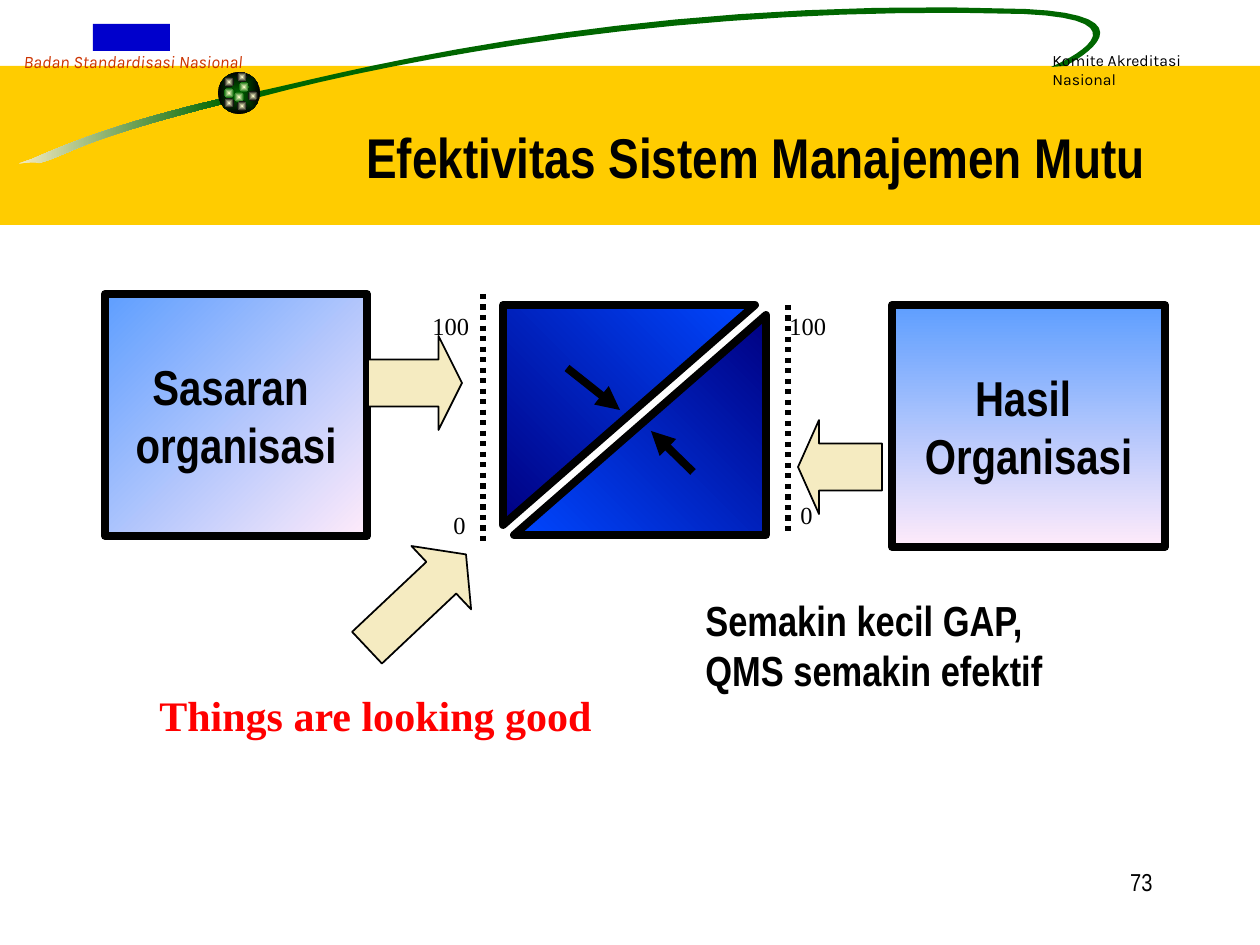
import pptx
import pptx.dml.color
import pptx.enum.dml
import pptx.enum.shapes
import pptx.enum.text
import pptx.oxml
import pptx.oxml.ns
import pptx.util

COLORS = {
    "band": "FFCC00", "green": "006600", "cream": "F5EBC1", "black": "000000",
    "glow": "FFFFCC", "blue": "0000CC", "rust": "CC3300", "red": "FF0000",
    "sky": "5E9EFF", "pink": "FFEBFA", "navy": "000082", "azure": "0047FF",
}
SHAPE = pptx.enum.shapes.MSO_SHAPE
ALIGN = pptx.enum.text.PP_ALIGN
ANCHOR = pptx.enum.text.MSO_ANCHOR
HEADING = {"name": "Arial Narrow", "bold": True}
SCALE_FONT = {"name": "Times New Roman", "size": 14}


def px(length):
    """Turn pixels into EMU."""
    return round(length * 914400 / 126)


def rgb(color):
    """Look up a named colour."""
    return pptx.dml.color.RGBColor.from_string(COLORS[color])


def within(box, left, top, width, height):
    """Offset a rectangle by the corner of the region that holds it."""
    return box[0] + left, box[1] + top, width, height


def paint(shape, fill, line=0):
    """Fill with one colour or a (from, to, angle) gradient, and set the outline."""
    shape.shadow.inherit = False
    if isinstance(fill, str):
        shape.fill.solid()
        shape.fill.fore_color.rgb = rgb(fill)
    else:
        *stops, angle = fill
        shape.fill.gradient()
        for stop, color in zip(shape.fill.gradient_stops, stops):
            stop.color.rgb = rgb(color)
        gradient = shape._element.spPr.find(pptx.oxml.ns.qn("a:gradFill"))
        gradient.set("rotWithShape", "0")
        if angle is None:
            gradient.replace(gradient.find(pptx.oxml.ns.qn("a:lin")), pptx.oxml.parse_xml(
                f'<a:path {pptx.oxml.ns.nsdecls("a")} path="rect">'
                '<a:fillToRect l="50000" t="50000" r="50000" b="50000"/></a:path>'))
        else:
            shape.fill.gradient_angle = -angle % 360
    if line:
        shape.line.color.rgb = rgb("black")
        shape.line.width = pptx.util.Pt(line)
    else:
        shape.line.fill.background()


def add_shape(slide, kind, box, fill, line=0, rotation=0, adjustments=()):
    """Place one painted preset shape."""
    shape = slide.shapes.add_shape(kind, *map(px, box))
    shape.rotation = rotation
    for index, value in enumerate(adjustments):
        shape.adjustments[index] = value
    paint(shape, fill, line)
    return shape


def write(shape, lines, font, color="black", align=ALIGN.LEFT, anchor=ANCHOR.TOP, wrap=True):
    """Write paragraphs in one format into a shape."""
    frame = shape.text_frame
    settings = {"word_wrap": wrap, "vertical_anchor": anchor,
                "auto_size": pptx.enum.text.MSO_AUTO_SIZE.NONE}
    for name, value in settings.items():
        setattr(frame, name, value)
    frame.text = "\n".join(lines)
    for paragraph in frame.paragraphs:
        paragraph.alignment = align
        for name, value in font.items():
            setattr(paragraph.font, name, pptx.util.Pt(value) if name == "size" else value)
        paragraph.font.color.rgb = rgb(color)


def add_text(slide, box, lines, font, **options):
    """Place a text box."""
    write(slide.shapes.add_textbox(*map(px, box)), lines, font, **options)


def add_line(slide, box, start, end, width, dash=None, arrow=False):
    """Draw a black line, dotted or with an arrowhead at its end."""
    points = [px(origin + offset) for point in (start, end) for origin, offset in zip(box, point)]
    line = slide.shapes.add_connector(pptx.enum.shapes.MSO_CONNECTOR.STRAIGHT, *points)
    line.line.color.rgb = rgb("black")
    line.line.width = pptx.util.Pt(width)
    if dash:
        line.line.dash_style = dash
    properties = line._element.spPr
    if arrow:
        properties.find(pptx.oxml.ns.qn("a:ln")).append(pptx.oxml.parse_xml(
            f'<a:tailEnd {pptx.oxml.ns.nsdecls("a")} type="triangle"/>'))
    properties.append(pptx.oxml.parse_xml(f'<a:effectLst {pptx.oxml.ns.nsdecls("a")}/>'))


def add_swoosh(slide, box, start, segments, fill):
    """Draw a closed outline of straight and cubic segments."""
    steps = 16
    points = [start]
    for segment in segments:
        if len(segment) == 1:
            points += segment
            continue
        controls = (points[-1], *segment)
        for step in range(1, steps + 1):
            t = step / steps
            weights = ((1 - t) ** 3, 3 * t * (1 - t) ** 2, 3 * t * t * (1 - t), t ** 3)
            points.append(tuple(sum(w * c[axis] for w, c in zip(weights, controls))
                                for axis in (0, 1)))
    scaled = [(px(box[0] + x), px(box[1] + y)) for x, y in points]
    builder = slide.shapes.build_freeform(*scaled[0])
    builder.add_line_segments(scaled[1:], close=True)
    paint(builder.convert_to_shape(), fill)


def globe(slide, box):
    """Place the dark ball with its glowing dots."""
    add_shape(slide, SHAPE.OVAL, box, ("green", "black", None))
    dots = {"green": [(21, 10), (6, 16), (16, 20)],
            "black": [(6, 5), (30, 19), (19, 29), (6, 26), (19, 0)]}
    for edge, corners in dots.items():
        for corner in corners:
            add_shape(slide, SHAPE.OVAL, within(box, *corner, 10, 10), ("glow", edge, None))


def header(slide, box):
    """Place the band, swoosh, institution names and title."""
    add_shape(slide, SHAPE.RECTANGLE, within(box, 0, 66, box[2], 159), "band")
    add_swoosh(slide, box, (224, 98), [
        [(115, 123), (62, 146), (32, 159)], [(1, 169), (33, 159), (39, 163)],
        [(72, 154), (72, 142), (226, 103)]], ("cream", "green", 0))
    add_swoosh(slide, box, (255, 92), [
        [(310, 82), (612, -6), (1026, 9)], [(1155, 15), (1080, 59), (1065, 66)], [(1051, 67)],
        [(1063, 62), (1154, 20), (1024, 14)], [(690, 4), (403, 59), (260, 97)]], "green")
    globe(slide, within(box, 218, 72, 42, 42))
    add_shape(slide, SHAPE.RECTANGLE, within(box, 93, 24, 77, 27), "blue")
    add_text(slide, within(box, 3, 45, 260, 34), ["Badan Standardisasi Nasional"],
             {"name": "Karla", "size": 10, "italic": True},
             color="rust", align=ALIGN.CENTER, wrap=False)
    add_text(slide, within(box, 1040, 45, 212, 50), ["Komite Akreditasi Nasional"],
             {"name": "Karla", "size": 9})
    title = slide.shapes.title
    place = within(box, 315, 116, 882, 81)
    for name, value in zip(("left", "top", "width", "height"), place):
        setattr(title, name, px(value))
    write(title, ["Efektivitas Sistem Manajemen Mutu"], {**HEADING, "size": 32},
          align=ALIGN.CENTER)
    slide.shapes._spTree.append(title._element)


def outcome(slide, box, lines, angle):
    """Place a framed gradient box with a centred label."""
    panel = add_shape(slide, SHAPE.RECTANGLE, box, ("sky", "pink", angle), 4.5)
    write(panel, lines, {**HEADING, "size": 28},
          align=ALIGN.CENTER, anchor=ANCHOR.MIDDLE, wrap=False)


def gap(slide, box):
    """Place the split square, its dotted scales and the closing arrows."""
    for left, top, turn in ((99, -5, 90), (110, 5, 270)):
        add_shape(slide, SHAPE.RIGHT_TRIANGLE, within(box, left, top, 220, 252),
                  ("navy", "azure", (turn + 225) % 360), 4.5, turn)
    for start, end in (((63, 0), (63, 252)), ((368, 11), (368, 242))):
        add_line(slide, box, start, end, 3, dash=pptx.enum.dml.MSO_LINE.ROUND_DOT)
    for start, end in (((273, 178), (231, 137)), ((147, 74), (200, 116))):
        add_line(slide, box, start, end, 4.5, arrow=True)
    for left, top, width, mark in ((0, 11, 63, "100"), (357, 11, 73, "100"),
                                   (21, 210, 42, "0"), (368, 200, 42, "0")):
        add_text(slide, within(box, left, top, width, 43), [mark], SCALE_FONT)


def comparison(slide, box):
    """Place goals, gap and results with the arrows and remarks."""
    outcome(slide, within(box, 0, 0, 262, 242), ["Sasaran ", "organisasi"], 45)
    outcome(slide, within(box, 787, 11, 273, 242), ["Hasil ", "Organisasi"], 90)
    gap(slide, within(box, 315, 0, 430, 253))
    for kind, place, turn, head in (
            (SHAPE.RIGHT_ARROW, (263, 42, 94, 94), 0, 0.25),
            (SHAPE.LEFT_ARROW, (693, 126, 84, 94), 0, 0.25),
            (SHAPE.DOWN_ARROW, (268, 239, 87, 136), 226.7, 0.39)):
        add_shape(slide, kind, within(box, *place), "cream", 1, turn, (0.5, head))
    add_text(slide, within(box, 42, 389, 462, 63), ["Things are looking good"],
             {"name": "Times New Roman", "size": 24, "bold": True}, color="red")
    add_text(slide, within(box, 588, 294, 388, 113),
             ["Semakin kecil GAP,", "QMS semakin efektif"], {**HEADING, "size": 24})


def main():
    """Build and save the slide."""
    deck = pptx.Presentation()
    deck.slide_width, deck.slide_height = px(1260), px(945)
    slide = deck.slides.add_slide(deck.slide_layouts[5])
    header(slide, (0, 0, 1260, 225))
    comparison(slide, (105, 294, 1060, 452))
    add_text(slide, (903, 861, 262, 63), ["73"], {"name": "Arial Narrow", "size": 14},
             align=ALIGN.RIGHT)
    deck.save("out.pptx")


if __name__ == "__main__":
    main()
